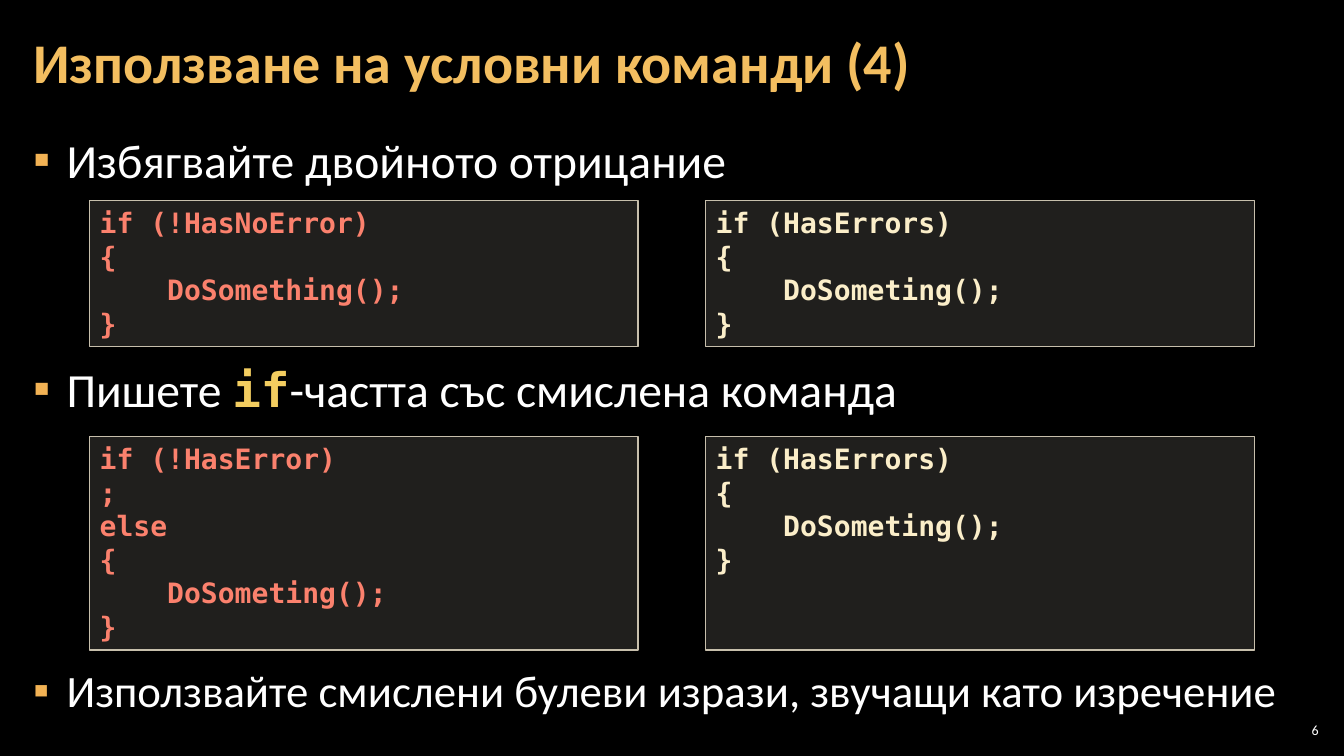
from pptx import Presentation
from pptx.dml.color import RGBColor
from pptx.enum.shapes import MSO_SHAPE
from pptx.enum.text import MSO_ANCHOR, PP_ALIGN
from pptx.oxml.ns import qn
from pptx.util import Inches, Pt
from lxml.etree import SubElement

BLACK = RGBColor(0x00, 0x00, 0x00)
WHITE = RGBColor(0xFF, 0xFF, 0xFF)
TITLE_GOLD = RGBColor(0xF3, 0xBE, 0x60)
KEYWORD_GOLD = RGBColor(0xF3, 0xCD, 0x60)
BULLET_GOLD = RGBColor(0xF2, 0xB2, 0x54)
PANEL = RGBColor(0xD9, 0xD5, 0xC7)
BORDER = RGBColor(0xC7, 0xBF, 0xAC)
BAD_CODE = RGBColor(0xFB, 0x81, 0x6D)
GOOD_CODE = RGBColor(0xFB, 0xEE, 0xC9)

SANS = "Calibri"
MONO = "DejaVu Sans Mono"

LEFT = 0.21
CODE_LEFT, CODE_PITCH, CODE_WIDTH = 0.89, 6.11, 5.44

GOOD = ["if (HasErrors)", "{", "    DoSometing();", "}"]
CODE_ROWS = [
    (1.99, 1.45, ["if (!HasNoError)", "{", "    DoSomething();", "}"]),
    (4.33, 2.12, ["if (!HasError)", ";", "else", "{",
                  "    DoSometing();", "}"]),
]
BULLETS = [
    (34, 0, [("Избягвайте двойното отрицание", SANS, WHITE, False)]),
    (34, 122.5, [("Пишете ", SANS, WHITE, False),
                 ("if", MONO, KEYWORD_GOLD, True),
                 ("-частта със смислена команда", SANS, WHITE, False)]),
    (32, 176, [("Използвайте смислени булеви изрази, звучащи като изречение",
                SANS, WHITE, False)]),
]


def add_run(p, text, font, size, color, bold=False):
    r = p.add_run()
    r.text = text
    r.font.name = font
    r.font.size = Pt(size)
    r.font.color.rgb = color
    r.font.bold = bold


def add_box(s, left, top, width, height, side, anchor):
    tb = s.shapes.add_textbox(*map(Inches, (left, top, width, height)))
    tf = tb.text_frame
    tf.word_wrap = True
    tf.vertical_anchor = anchor
    tf.margin_left = tf.margin_right = Inches(side)
    tf.margin_top = tf.margin_bottom = Inches(0.04)
    return tf


def next_paragraph(tf, index):
    return tf.add_paragraph() if index else tf.paragraphs[0]


def set_bullet(p):
    pPr = p._p.get_or_add_pPr()
    pPr.set("marL", str(Inches(0.33)))
    pPr.set("indent", str(-Inches(0.33)))
    color = SubElement(pPr, qn("a:buClr"))
    SubElement(color, qn("a:srgbClr")).set("val", str(BULLET_GOLD))
    SubElement(pPr, qn("a:buFont")).set("typeface", SANS)
    SubElement(pPr, qn("a:buChar")).set("char", "▪")


def add_title(s, text):
    tf = add_box(s, LEFT, 0.04, 10.47, 1.21, 0.12, MSO_ANCHOR.MIDDLE)
    p = tf.paragraphs[0]
    p.line_spacing = 0.9
    add_run(p, text, SANS, 40, TITLE_GOLD, True)


def add_bullets(s, bullets):
    tf = add_box(s, LEFT, 1.26, 12.91, 6.09, 0.12, MSO_ANCHOR.TOP)
    for i, (size, before, runs) in enumerate(bullets):
        p = next_paragraph(tf, i)
        set_bullet(p)
        if before:
            p.space_before = Pt(before)
        for text, font, color, bold in runs:
            add_run(p, text, font, size, color, bold)


def add_code(s, column, top, height, lines, color):
    left = CODE_LEFT + column * CODE_PITCH
    sp = s.shapes.add_shape(MSO_SHAPE.RECTANGLE,
                            *map(Inches, (left, top, CODE_WIDTH, height)))
    sp.shadow.inherit = False
    sp.fill.solid()
    sp.fill.fore_color.rgb = PANEL
    fill = sp._element.spPr.find(qn("a:solidFill")).find(qn("a:srgbClr"))
    SubElement(fill, qn("a:alpha")).set("val", "15000")
    sp.line.color.rgb = BORDER
    sp.line.width = Pt(1)
    tf = sp.text_frame
    tf.word_wrap = True
    tf.vertical_anchor = MSO_ANCHOR.TOP
    for i, line in enumerate(lines):
        p = next_paragraph(tf, i)
        p.alignment = PP_ALIGN.LEFT
        add_run(p, line, MONO, 20, color, True)


def add_page_number(s, number):
    tf = add_box(s, 12.65, 7.14, 0.47, 0.21, 0.04, MSO_ANCHOR.MIDDLE)
    p = tf.paragraphs[0]
    p.alignment = PP_ALIGN.RIGHT
    add_run(p, number, SANS, 10, WHITE)


def main():
    prs = Presentation()
    prs.slide_width, prs.slide_height = Inches(13.33), Inches(7.5)
    s = prs.slides.add_slide(prs.slide_layouts[6])
    s.background.fill.solid()
    s.background.fill.fore_color.rgb = BLACK
    add_title(s, "Използване на условни команди (4)")
    add_bullets(s, BULLETS)
    for top, height, bad in CODE_ROWS:
        add_code(s, 0, top, height, bad, BAD_CODE)
        add_code(s, 1, top, height, GOOD, GOOD_CODE)
    add_page_number(s, "6")
    prs.save("out.pptx")


if __name__ == "__main__":
    main()
